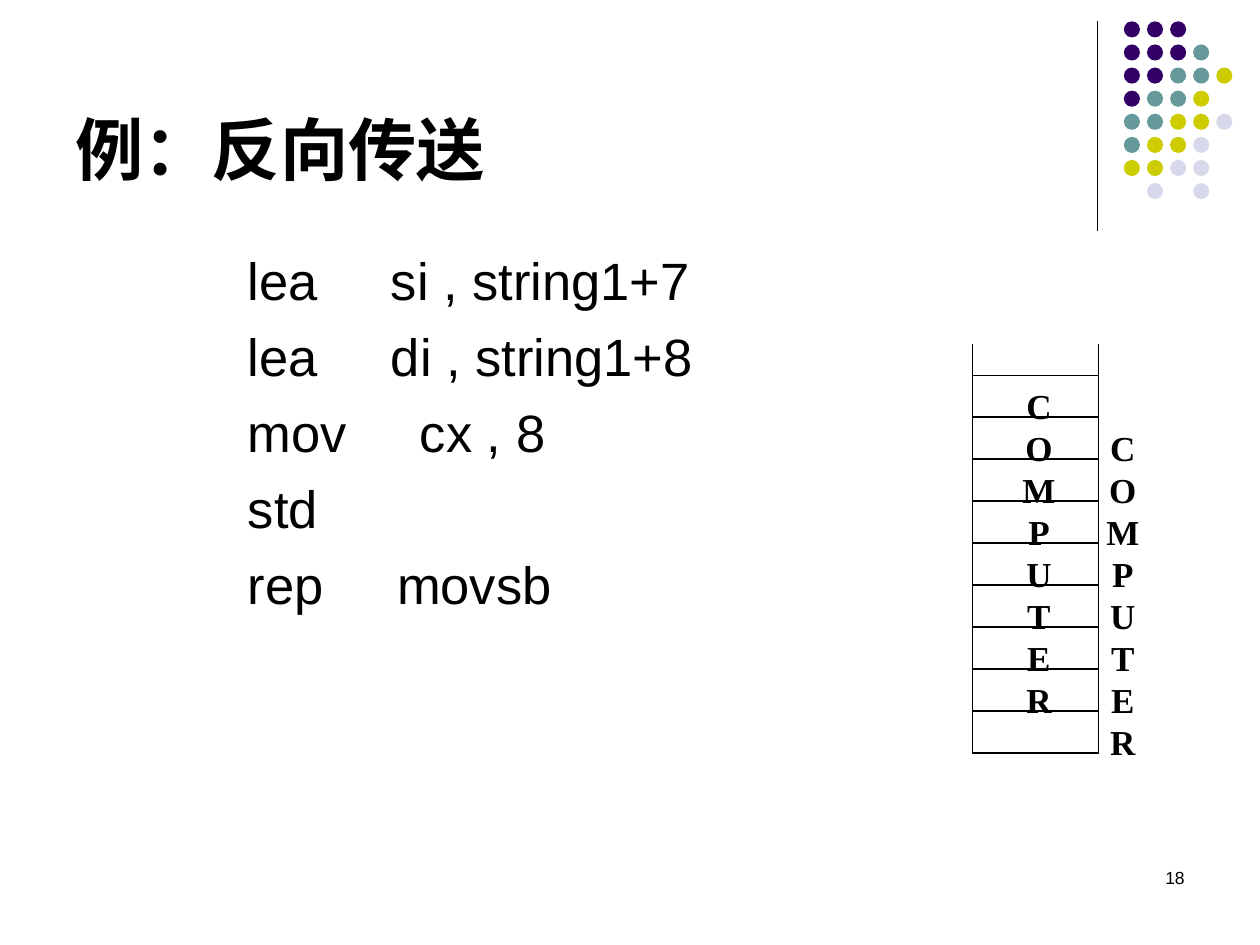
from pptx import Presentation
from pptx.dml.color import RGBColor
from pptx.enum import shapes, text
from pptx.oxml import parse_xml
from pptx.oxml.ns import nsdecls
from pptx.util import Pt

BLACK = RGBColor(0x00, 0x00, 0x00)
DOT_COLORS = {
    "P": RGBColor(0x33, 0x00, 0x66),
    "T": RGBColor(0x66, 0x99, 0x99),
    "Y": RGBColor(0xCC, 0xCC, 0x00),
    "L": RGBColor(0xD8, 0xD8, 0xEC),
}
DOT_ROWS = ["PPP", "PPPT", "PPTTY", "PTTY", "TTYYL", "TYYL", "YYLL", " L L"]
DOT_LEFT, DOT_TOP, DOT_STEP, DOT_SIZE = 642.2, 12.2, 13.2, 9.2

TITLE = "例：反向传送"
# opcode, operands, tab position of the operands
CODE = [
    ("lea", "si , string1+7", 81.7),
    ("lea", "di , string1+8", 81.7),
    ("mov", "cx , 8", 98.3),
    ("std", "", 0),
    ("rep", "movsb", 85.2),
]
PAGE = "18"

WORD = "COMPUTER"
LETTER_WIDTHS = {"C": 29, "O": 30, "M": 33, "P": 27, "U": 29, "T": 28, "E": 28, "R": 29}
CELL_LEFT, CELL_TOP, CELL_W, CELL_H, CELLS = 555.8, 214.5, 72, 24, 9
# centre of the letters, first cell they stand at
LETTER_COLUMNS = [(593.7, 0), (641.6, 1)]


def add_line(s, x1, y1, x2, y2, width):
    c = s.shapes.add_connector(
        shapes.MSO_CONNECTOR.STRAIGHT, Pt(x1), Pt(y1), Pt(x2), Pt(y2))
    c.line.color.rgb = BLACK
    c.line.width = Pt(width)
    c._element.spPr.append(parse_xml(f"<a:effectLst {nsdecls('a')}/>"))


def add_preset(s, kind, x, y, w, h):
    sp = s.shapes.add_shape(kind, Pt(x), Pt(y), Pt(w), Pt(h))
    sp.shadow.inherit = False
    return sp


def add_box(s, x, y, w, h, wrap=True):
    tf = s.shapes.add_textbox(Pt(x), Pt(y), Pt(w), Pt(h)).text_frame
    tf.word_wrap = wrap
    return tf


def add_run(p, content, size, font="Arial", bold=False):
    r = p.add_run()
    r.text = content
    r.font.size = Pt(size)
    r.font.name = font
    r.font.bold = bold
    r.font.color.rgb = BLACK


def add_tab_stop(p, pos):
    p._p.get_or_add_pPr().append(parse_xml(
        f'<a:tabLst {nsdecls("a")}><a:tab pos="{Pt(pos)}" algn="l"/></a:tabLst>'))


def add_dots(s):
    add_line(s, 627, 12.2, 627, 131.8, 0.75)
    for row, colors in enumerate(DOT_ROWS):
        for col, key in enumerate(colors):
            if key in DOT_COLORS:
                dot = add_preset(
                    s, shapes.MSO_SHAPE.OVAL, DOT_LEFT + col * DOT_STEP,
                    DOT_TOP + row * DOT_STEP, DOT_SIZE, DOT_SIZE)
                dot.fill.solid()
                dot.fill.fore_color.rgb = DOT_COLORS[key]
                dot.line.fill.background()


def add_code(s):
    tf = add_box(s, 36, 135.4, 414.7, 347)
    tf.margin_left, tf.margin_top = Pt(105.7), Pt(6.2)
    for i, (opcode, operands, tab) in enumerate(CODE):
        p = tf.paragraphs[0] if i == 0 else tf.add_paragraph()
        p.space_before = Pt(7.5 if i else 0)
        if operands:
            add_tab_stop(p, tab)
        add_run(p, f"{opcode}\t{operands}" if operands else opcode, 30)


def add_memory(s):
    for i in range(CELLS):
        cell = add_preset(s, shapes.MSO_SHAPE.RECTANGLE, CELL_LEFT,
                          CELL_TOP + i * CELL_H, CELL_W, CELL_H)
        cell.fill.background()
        cell.line.color.rgb = BLACK
        cell.line.width = Pt(1)
    for x in (CELL_LEFT, CELL_LEFT + CELL_W):
        add_line(s, x, CELL_TOP, x, CELL_TOP - 18, 1)
    for center, first in LETTER_COLUMNS:
        for i, letter in enumerate(WORD, first):
            w = LETTER_WIDTHS[letter]
            tf = add_box(s, center - w / 2, CELL_TOP + i * CELL_H, w, 31, wrap=False)
            tf.margin_top = Pt(5.4)
            p = tf.paragraphs[0]
            p.alignment = text.PP_ALIGN.CENTER
            add_run(p, letter, 20, "Times New Roman", True)


def main():
    prs = Presentation()
    prs.slide_width, prs.slide_height = Pt(720), Pt(540)
    s = prs.slides.add_slide(prs.slide_layouts[6])
    add_dots(s)

    tf = add_box(s, 36, 9.4, 594, 102.2)
    tf.vertical_anchor = text.MSO_ANCHOR.BOTTOM
    add_run(tf.paragraphs[0], TITLE, 39, bold=True)

    add_code(s)
    add_memory(s)

    p = add_box(s, 516, 492, 168, 36).paragraphs[0]
    p.alignment = text.PP_ALIGN.RIGHT
    add_run(p, PAGE, 10)
    prs.save("out.pptx")


if __name__ == "__main__":
    main()
